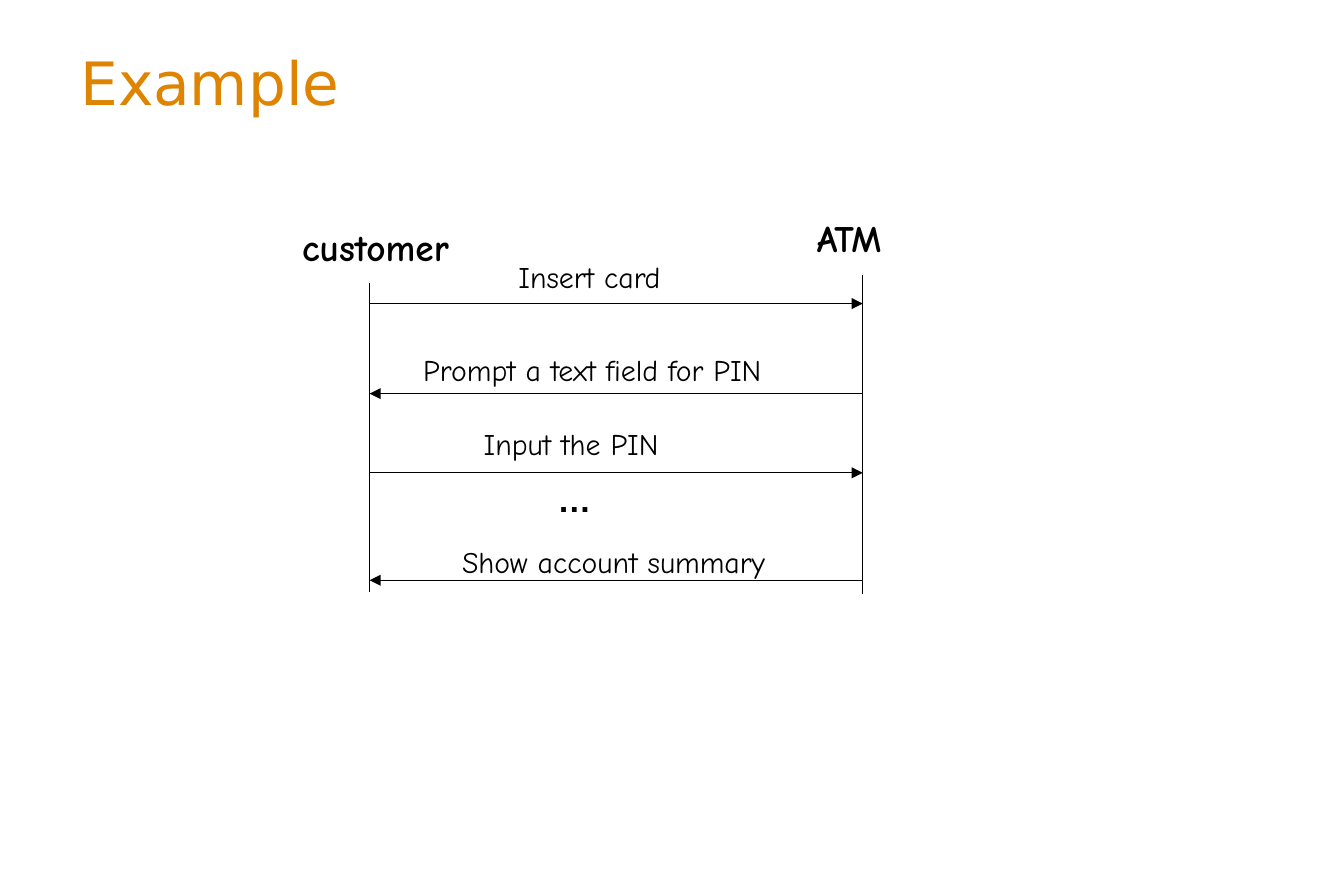
from pptx import Presentation
from pptx.dml.color import RGBColor
from pptx.enum.shapes import MSO_CONNECTOR as Connector
from pptx.enum.text import MSO_ANCHOR as Anchor
from pptx.oxml.ns import qn
from pptx.util import Pt
from lxml.etree import SubElement

COLORS = {"title": "DE8400", "ink": "000000"}
CUSTOMER_X, ATM_X = 198, 462.24

# Text, left, top and width of the label; height of the arrow; sender and receiver
MESSAGES = [
    ("Insert card", 270.72, 137.52, 105.84, 162.72, CUSTOMER_X, ATM_X),
    ("Prompt a text field for PIN", 219.6, 187.2, 223.92, 210.96, ATM_X, CUSTOMER_X),
    ("Input the PIN", 252, 226.8, 203.04, 253.44, CUSTOMER_X, ATM_X),
    ("Show account summary", 240.48, 290.16, 194.4, 311.04, ATM_X, CUSTOMER_X),
]


def add_text(page, text, left, top, width, height, *, size=16, font="Comic Neue",
             color="ink", bold=False, anchor=Anchor.TOP, spacing=0.9):
    box = page.shapes.add_textbox(Pt(left), Pt(top), Pt(width), Pt(height))
    frame = box.text_frame
    frame.word_wrap = True
    frame.vertical_anchor = anchor
    para = frame.paragraphs[0]
    para.line_spacing = spacing
    span = para.add_run()
    span.text = text
    span.font.name = font
    span.font.size = Pt(size)
    span.font.bold = bold
    span.font.color.rgb = RGBColor.from_string(COLORS[color])


def add_line(page, x1, y1, x2, y2, arrow=False):
    line = page.shapes.add_connector(Connector.STRAIGHT, Pt(x1), Pt(y1), Pt(x2), Pt(y2))
    line.line.width = Pt(0.75)
    line.line.color.rgb = RGBColor.from_string(COLORS["ink"])
    properties = line.line._get_or_add_ln()
    if arrow:
        SubElement(properties, qn("a:tailEnd"), type="triangle")
    SubElement(properties.getparent(), qn("a:effectLst"))


def add_lifeline(page, name, x, top, bottom, label_left, label_top, label_width):
    add_text(page, name, label_left, label_top, label_width, 29.52, size=20, bold=True)
    add_line(page, x, top, x, bottom)


def add_message(page, text, left, top, width, y, sender, receiver):
    add_line(page, sender, y, receiver, y, arrow=True)
    add_text(page, text, left, top, width, 25.2)


def main():
    deck = Presentation()
    deck.slide_width, deck.slide_height = Pt(720), Pt(480.24)
    page = deck.slides.add_slide(deck.slide_layouts[6])

    add_text(page, "Example", 36, 19.44, 648, 48.96, size=32, font="DejaVu Sans",
             color="title", anchor=Anchor.MIDDLE, spacing=1.0)
    add_lifeline(page, "customer", CUSTOMER_X, 151.92, 317.52, 154.8, 119.52, 102.24)
    add_lifeline(page, "ATM", ATM_X, 147.6, 318.24, 430.56, 114.48, 61.2)
    for message in MESSAGES:
        add_message(page, *message)
    add_text(page, "…", 291.6, 255.6, 46.8, 27.36, size=18, font="Arial", bold=True)

    deck.save("out.pptx")


if __name__ == "__main__":
    main()
